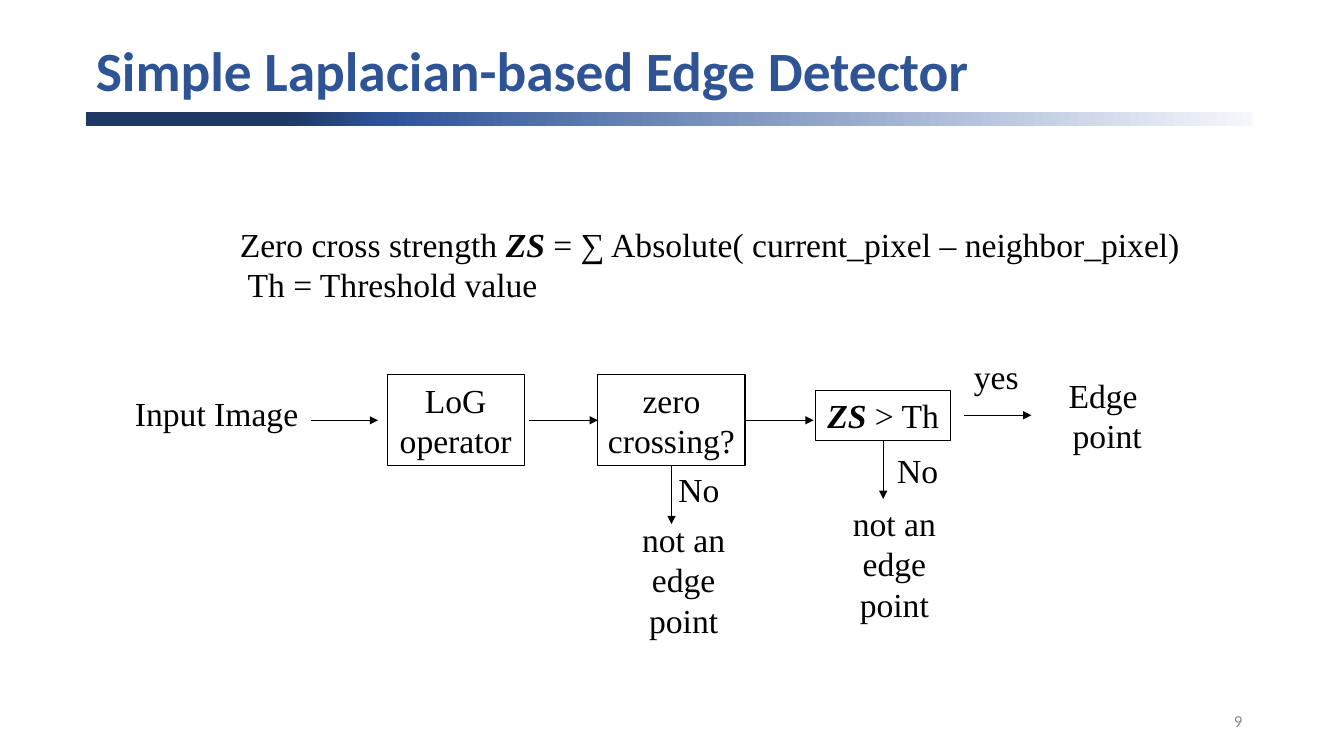
from lxml import etree
from pptx import Presentation
from pptx.dml.color import RGBColor
from pptx.enum.shapes import MSO_CONNECTOR, MSO_SHAPE
from pptx.enum.text import MSO_ANCHOR, PP_ALIGN
from pptx.oxml.ns import qn
from pptx.util import Pt

PX = 9144
RECT = MSO_SHAPE.RECTANGLE
STRAIGHT = MSO_CONNECTOR.STRAIGHT
TOP, MIDDLE = MSO_ANCHOR.TOP, MSO_ANCHOR.MIDDLE
LEFT, CENTER, RIGHT = PP_ALIGN.LEFT, PP_ALIGN.CENTER, PP_ALIGN.RIGHT
BLACK = RGBColor(0x00, 0x00, 0x00)
GRAY = RGBColor(0x88, 0x88, 0x88)
BLUE = RGBColor(0x2F, 0x54, 0x96)
NAVY = RGBColor(0x1F, 0x38, 0x64)
PALE = RGBColor(0xF5, 0xF7, 0xFC)
SERIF, SANS = "Times New Roman", "Calibri"
BAR_STOPS = [(0, PALE), (74, BLUE), (83, NAVY), (100, NAVY)]
STRENGTH = "ZS"


def emu(*lengths):
    return [n * PX for n in lengths]


def write(sp, lines, align=LEFT, anchor=TOP, wrap=False,
          font=SERIF, size=24, color=BLACK, bold=False):
    tf = sp.text_frame
    tf.word_wrap = wrap
    tf.vertical_anchor = anchor
    for i, line in enumerate(lines):
        p = tf.paragraphs[0] if i == 0 else tf.add_paragraph()
        p.alignment = align
        for text in line if isinstance(line, list) else [line]:
            r = p.add_run()
            r.text = text
            r.font.name = font
            r.font.size = Pt(size)
            r.font.color.rgb = color
            r.font.bold = bold or text == STRENGTH
            r.font.italic = text == STRENGTH


def add_label(s, box, lines, **style):
    write(s.shapes.add_textbox(*emu(*box)), lines, **style)


def add_step(s, box, lines):
    sp = s.shapes.add_shape(RECT, *emu(*box))
    sp.shadow.inherit = False
    sp.fill.background()
    sp.line.color.rgb = BLACK
    sp.line.width = Pt(0.75)
    write(sp, lines, align=CENTER)
    return sp


def add_arrow(s, x, y, dx, dy, source=None, target=None):
    c = s.shapes.add_connector(STRAIGHT, *emu(x, y, x + dx, y + dy))
    if source:
        c.begin_connect(*source)
    if target:
        c.end_connect(*target)
    c.line.color.rgb = BLACK
    c.line.width = Pt(0.75)
    spPr = c.line._get_or_add_ln().getparent()
    etree.SubElement(spPr.find(qn("a:ln")), qn("a:tailEnd"), type="triangle")
    etree.SubElement(spPr, qn("a:effectLst"))


def add_header(s, x, y):
    bar = s.shapes.add_shape(RECT, *emu(x, y + 71, 1157, 14))
    bar.shadow.inherit = False
    bar.line.fill.background()
    bar.fill.gradient()
    bar.fill.gradient_angle = 180
    stops = next(bar.element.iter(qn("a:gsLst")))
    for gs in list(stops):
        stops.remove(gs)
    for percent, color in BAR_STOPS:
        gs = etree.SubElement(stops, qn("a:gs"), pos=str(percent * 1000))
        etree.SubElement(gs, qn("a:srgbClr"), val=str(color))
    title = s.shapes.title
    title.left, title.top, title.width, title.height = emu(x, y, 1214, 66)
    write(title, ["Simple Laplacian-based Edge Detector"], anchor=MIDDLE,
          wrap=True, font=SANS, size=39.6, color=BLUE, bold=True)
    title.text_frame.paragraphs[0].line_spacing = 0.9


def add_definitions(s, x, y):
    add_label(s, (x, y, 954, 91), [
        ["Zero cross strength ", STRENGTH,
         " = ∑ Absolute( current_pixel – neighbor_pixel)"],
        " Th = Threshold value"])


def add_rejection(s, step, x, y, no_dx, no_dy, out_dx, out_dy):
    add_arrow(s, x, y, 0, 58, source=(step, 2))
    add_label(s, (x + no_dx, y + no_dy, 61, 50), ["No"])
    add_label(s, (x + out_dx, y + out_dy, 158, 90),
              ["not an", "edge point"], align=CENTER, wrap=True)


def add_flow(s, x, y):
    mid = y + 45
    add_label(s, (x, y + 13, 184, 50), ["Input Image"])
    add_step(s, (x + 260, y, 136, 90), ["LoG", "operator"])
    crossing = add_step(s, (x + 469, y, 146, 90), ["zero", "crossing?"])
    threshold = add_step(s, (x + 685, y + 15, 134, 50), [[STRENGTH, " > Th"]])
    add_arrow(s, x + 184, mid, 67, 0)
    add_arrow(s, x + 401, mid, 68, 0, target=(crossing, 1))
    add_arrow(s, x + 615, mid, 68, 0, source=(crossing, 3))
    add_arrow(s, x + 832, y + 40, 67, 0)
    add_label(s, (x + 832, y - 24, 65, 50), ["yes"])
    add_label(s, (x + 921, y - 5, 98, 91), ["Edge", " point"], align=CENTER)
    add_rejection(s, crossing, x + 542, y + 90, -3, -2, -67, 48)
    add_rejection(s, threshold, x + 752, y + 65, 4, 4, -68, 57)


def main():
    prs = Presentation()
    prs.slide_width, prs.slide_height = emu(1333, 750)
    s = prs.slides.add_slide(prs.slide_layouts[5])
    add_header(s, 85, 40)
    add_definitions(s, 228, 217)
    add_flow(s, 124, 372)
    add_label(s, (942, 695, 300, 40), ["9"], align=RIGHT, anchor=MIDDLE,
              wrap=True, font=SANS, size=12, color=GRAY)
    prs.save("out.pptx")


if __name__ == "__main__":
    main()
